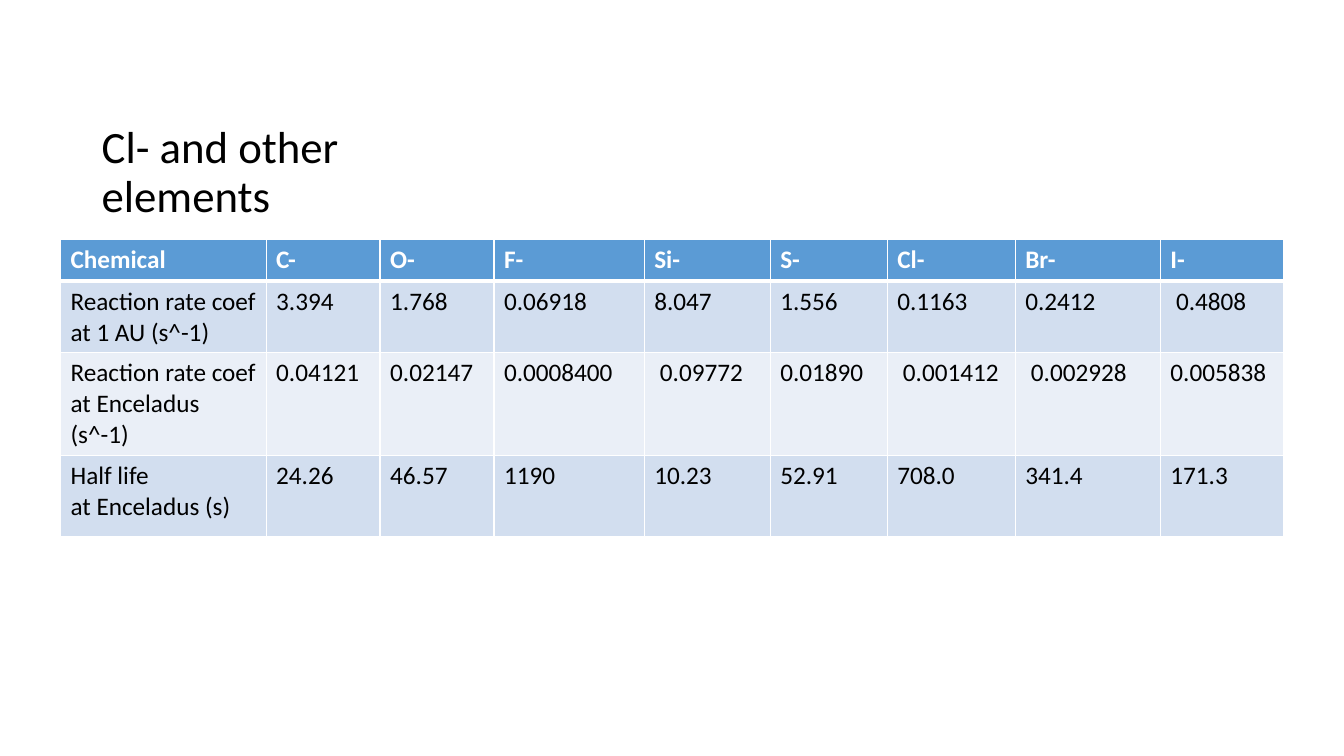
from lxml.etree import SubElement
from pptx import Presentation
from pptx.dml.color import RGBColor
from pptx.enum.text import MSO_ANCHOR
from pptx.oxml.ns import qn
from pptx.util import Inches, Pt

THEME = {
    "font": "Calibri", "title": 32, "body": 18,
    "text": "000000", "light": "FFFFFF",
    "header": "5B9BD5", "bands": ["D2DEEF", "EAEFF7"],
    "rule": 1, "header_rule": 3,
}
COLS = [2.04, 1.13, 1.13, 1.49, 1.25, 1.16, 1.27, 1.44, 1.22]
ROWS = [0.41, 0.7, 0.81, 0.81]
DATA = [
    ["Chemical", "C-", "O-", "F-", "Si-", "S-", "Cl-", "Br-", "I-"],
    ["Reaction rate coef at 1 AU (s^-1)", "3.394", "1.768", "0.06918", "8.047",
     "1.556", "0.1163", "0.2412", " 0.4808"],
    ["Reaction rate coef\nat Enceladus (s^-1)", "0.04121", "0.02147", "0.0008400",
     " 0.09772", "0.01890", " 0.001412", " 0.002928", "0.005838"],
    ["Half life\nat Enceladus (s)", "24.26", "46.57", "1190", "10.23",
     "52.91", "708.0", "341.4", "171.3"],
]


def style_text(tf, size, color, bold=False):
    for p in tf.paragraphs:
        for r in p.runs:
            r.font.name = THEME["font"]
            r.font.size = Pt(size)
            r.font.bold = bold
            r.font.color.rgb = RGBColor.from_string(color)


def add_border(cell, side, width):
    ln = SubElement(cell._tc.get_or_add_tcPr(), qn(f"a:ln{side}"), w=str(Pt(width)))
    fill = SubElement(ln, qn("a:solidFill"))
    SubElement(fill, qn("a:srgbClr"), val=THEME["light"])


prs = Presentation()
prs.slide_width, prs.slide_height = Inches(13.33), Inches(7.5)
s = prs.slides.add_slide(prs.slide_layouts[6])

# Table of rate coefficients and half lives
table = s.shapes.add_table(len(ROWS), len(COLS), Inches(0.6), Inches(2.38),
                           Inches(sum(COLS)), Inches(sum(ROWS))).table
for col, width in zip(table.columns, COLS):
    col.width = Inches(width)
for row, height in zip(table.rows, ROWS):
    row.height = Inches(height)

for i, values in enumerate(DATA):
    is_header = i == 0
    band = THEME["header"] if is_header else THEME["bands"][(i - 1) % 2]
    top = THEME["header_rule"] if i == 1 else THEME["rule"]
    bottom = THEME["header_rule"] if is_header else THEME["rule"]
    for j, value in enumerate(values):
        cell = table.cell(i, j)
        cell.text_frame.text = value
        style_text(cell.text_frame, THEME["body"],
                   THEME["light"] if is_header else THEME["text"], is_header)
        for side, width in zip("LRTB", (THEME["rule"], THEME["rule"], top, bottom)):
            add_border(cell, side, width)
        cell.fill.solid()
        cell.fill.fore_color.rgb = RGBColor.from_string(band)

# Title
sp = s.shapes.add_textbox(Inches(0.91), Inches(0.5), Inches(4.3), Inches(1.75))
tf = sp.text_frame
tf.word_wrap = True
tf.vertical_anchor = MSO_ANCHOR.BOTTOM
tf.text = "Cl- and other elements"
tf.paragraphs[0].line_spacing = 0.9
style_text(tf, THEME["title"], THEME["text"])

prs.save("out.pptx")
